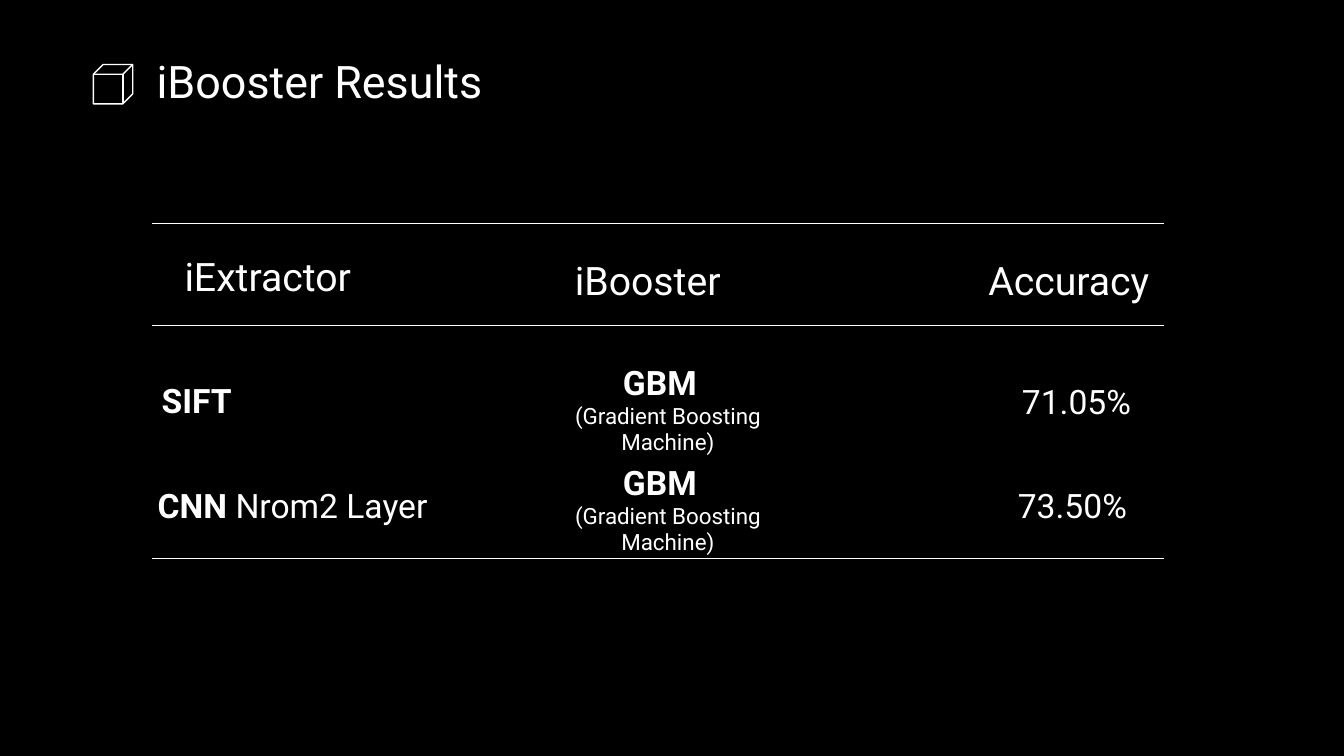
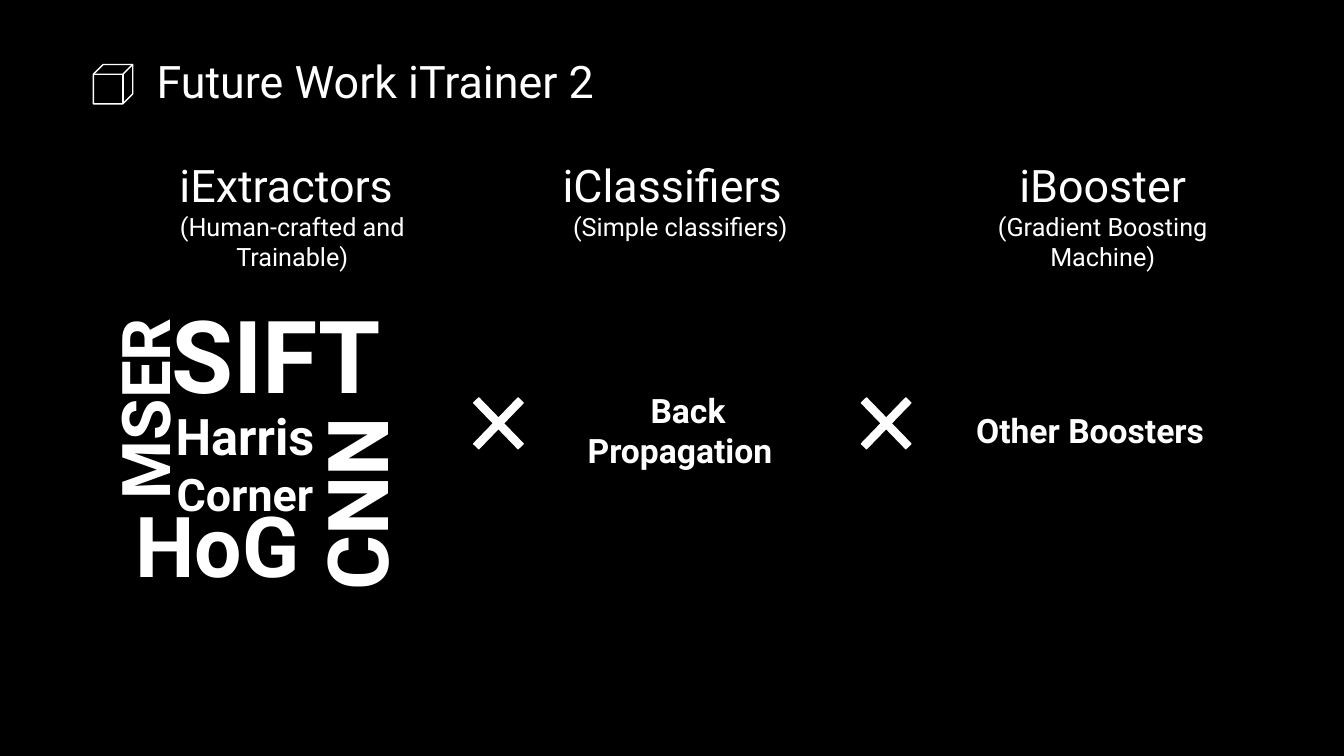
from itertools import accumulate

from lxml import etree
from pptx import Presentation
from pptx.dml.color import RGBColor
from pptx.enum.shapes import MSO_CONNECTOR as Connector, MSO_SHAPE as Preset
from pptx.enum.text import MSO_ANCHOR as Anchor, PP_ALIGN as Align
from pptx.oxml.ns import qn
from pptx.util import Emu, Inches, Pt

WIDTH, HEIGHT = Inches(13.33), Inches(7.5)
FONT = "Roboto"
BLACK, WHITE = "000000", "FFFFFF"
NO_TABLE_STYLE = "{2D5ABB26-0587-4C30-8999-92F81FD0307C}"
TITLE_AREA = (10.9, 7.7, 54, 6.9)
CUBE_AREA = (6.95, 8.53, 2.93, 5.2)


def color(value):
    return RGBColor.from_string(value)


def across(percent):
    return Emu(round(WIDTH * percent / 100))


def down(percent):
    return Emu(round(HEIGHT * percent / 100))


def area(left, top, width, height):
    """Turn shares of the slide, in percent, into lengths."""
    return across(left), down(top), across(width), down(height)


def style(font, size, bold=False):
    font.name, font.size, font.bold = FONT, Pt(size), bold
    font.color.rgb = color(WHITE)


def write(frame, paragraphs, align=Align.CENTER):
    """Fill a frame; a paragraph is a list of (text, size, bold) spans."""
    frame.word_wrap = True
    for index, spans in enumerate(paragraphs):
        para = frame.add_paragraph() if index else frame.paragraphs[0]
        para.alignment = align
        base = spans[0][1:]
        style(para.font, *base)
        for text, size, bold in spans:
            span = para.add_run()
            span.text = text
            if (size, bold) != base:
                span.font.size, span.font.bold = Pt(size), bold


def indent(para, left=0, first=0):
    """Indent all lines by left and the first line by first, in percent."""
    properties = para._p.get_or_add_pPr()
    properties.set("marL", str(across(left)))
    properties.set("indent", str(across(first)))


def add_label(page, place, *paragraphs, rotation=0):
    box = page.shapes.add_textbox(*area(*place))
    box.rotation = rotation
    write(box.text_frame, paragraphs)
    return box.text_frame


def add_outlined(page, preset, place, width):
    shape = page.shapes.add_shape(preset, *area(*place))
    shape.shadow.inherit = False
    shape.fill.background()
    shape.line.color.rgb = color(WHITE)
    shape.line.width = Pt(width)
    return shape


def add_times_sign(page, left):
    sign = add_outlined(page, Preset.MATH_MULTIPLY, (left, 50.13, 6.38, 11.73), 0.75)
    sign.adjustments[0] = 0.086
    sign.fill.solid()
    sign.fill.fore_color.rgb = color(WHITE)


def add_rule(page, left, top, width):
    rule = page.shapes.add_connector(
        Connector.STRAIGHT, across(left), down(top), across(left + width), down(top))
    rule.line.color.rgb = color(WHITE)
    rule.line.width = Pt(0.1)
    etree.SubElement(rule._element.spPr, qn("a:effectLst"))


def fill_cell(cell, paragraphs, left, bottom):
    """Set text at the given left and bottom insets; no left inset centres it."""
    centred = left is None
    cell.margin_left = across(0.9 if centred else left)
    cell.margin_right = across(2.1) if centred else 0
    cell.margin_top, cell.margin_bottom = 0, down(bottom)
    cell.vertical_anchor = Anchor.BOTTOM
    write(cell.text_frame, paragraphs, Align.CENTER if centred else Align.LEFT)
    for detail in cell.text_frame.paragraphs[1:]:
        indent(detail, 1.2)
    cell.fill.background()


def add_ruled_table(page, left, top, widths, heights, rows):
    """Place a table with rules around its header row and below its last row."""
    place = area(left, top, sum(widths), sum(heights))
    table = page.shapes.add_table(len(rows), len(widths), *place).table
    table.first_row = table.horz_banding = False
    table._tbl.tblPr.find(qn("a:tableStyleId")).text = NO_TABLE_STYLE
    for column, width in zip(table.columns, widths):
        column.width = across(width)
    for row, height, cells in zip(table.rows, heights, rows):
        row.height = down(height)
        for cell, content in zip(row.cells, cells):
            fill_cell(cell, *content)
    edges = list(accumulate(heights, initial=top))
    for edge in (edges[0], edges[1], edges[-1]):
        add_rule(page, left, edge, sum(widths))


def define_title_layout(deck):
    background = deck.slide_master.background.fill
    background.solid()
    background.fore_color.rgb = color(BLACK)
    layout = deck.slide_layouts.get_by_name("Title Only")
    title = layout.placeholders[0]
    title.left, title.top, title.width, title.height = area(*TITLE_AREA)
    return layout


def add_page(deck, layout, title):
    page = deck.slides.add_slide(layout)
    frame = page.shapes.title.text_frame
    frame.vertical_anchor = Anchor.MIDDLE
    write(frame, [[(title, 32, False)]], Align.LEFT)
    frame.paragraphs[0].line_spacing = 0.9
    add_outlined(page, Preset.CUBE, CUBE_AREA, 1)
    return page


def build_results(page):
    def header(text):
        return [[(text, 28, False)]]

    def value(text, bold=False):
        return [[(text, 24, bold)]]

    booster = [[("GBM", 24, True)], [("(Gradient Boosting Machine)", 16, False)]]
    network = [[("CNN ", 24, True), ("Nrom2 Layer", 24, False)]]
    rows = [
        [(header("iExtractor"), 2.4, 3.2), (header("iBooster"), 4.22, 2.67),
         (header("Accuracy"), 12.7, 2.67)],
        [(value("SIFT", True), 0.7, 4.47), (booster, None, 0),
         (value("71.05%"), 15.2, 4.4)],
        [(network, 0.4, 4.2), (booster, None, 0.35),
         (value("73.50%"), 14.9, 4.2)],
    ]
    add_ruled_table(page, 11.33, 29.47, (27.23, 22.28, 25.75),
                    (13.6, 17.2, 13.6), rows)


def build_future_work(page):
    for left, name, detail, shift in (
        (9.3, "iExtractors", "(Human-crafted and Trainable)", 0.9),
        (38.03, "iClassifiers", "(Simple classifiers)", 1.2),
        (70.05, "iBooster", "(Gradient Boosting Machine)", 0),
    ):
        frame = add_label(page, (left, 20.2, 24, 12.53),
                          [(name, 32, False)], [(detail, 18, False)])
        indent(frame.paragraphs[1], shift)
    for text, size, place, rotation in (
        ("MSER", 48, (1.88, 48, 17.63, 12.13), 270),
        ("SIFT", 72, (10.8, 38.13, 19.5, 17.47), 0),
        ("HoG", 60, (6.98, 64.6, 18.38, 14.8), 0),
        ("CNN", 60, (15.38, 59.2, 22.13, 14.8), 270),
        ("Other Boosters", 24, (69.97, 53.6, 22.28, 6.67), 0),
    ):
        add_label(page, place, [(text, size, True)], rotation=rotation)
    add_label(page, (10.88, 52.13, 14.7, 17.47),
              [("Harris", 36, True), (" ", 40, True), ("Corner", 32, True)])
    frame = add_label(page, (42.15, 50.93, 16.88, 15.73),
                      [("Back Propagation", 24, True)])
    indent(frame.paragraphs[0], first=1.2)
    for left in (33.9, 62.75):
        add_times_sign(page, left)


def main():
    deck = Presentation()
    deck.slide_width, deck.slide_height = WIDTH, HEIGHT
    layout = define_title_layout(deck)
    build_results(add_page(deck, layout, "iBooster Results"))
    build_future_work(add_page(deck, layout, "Future Work iTrainer 2"))
    deck.save("out.pptx")


if __name__ == "__main__":
    main()
